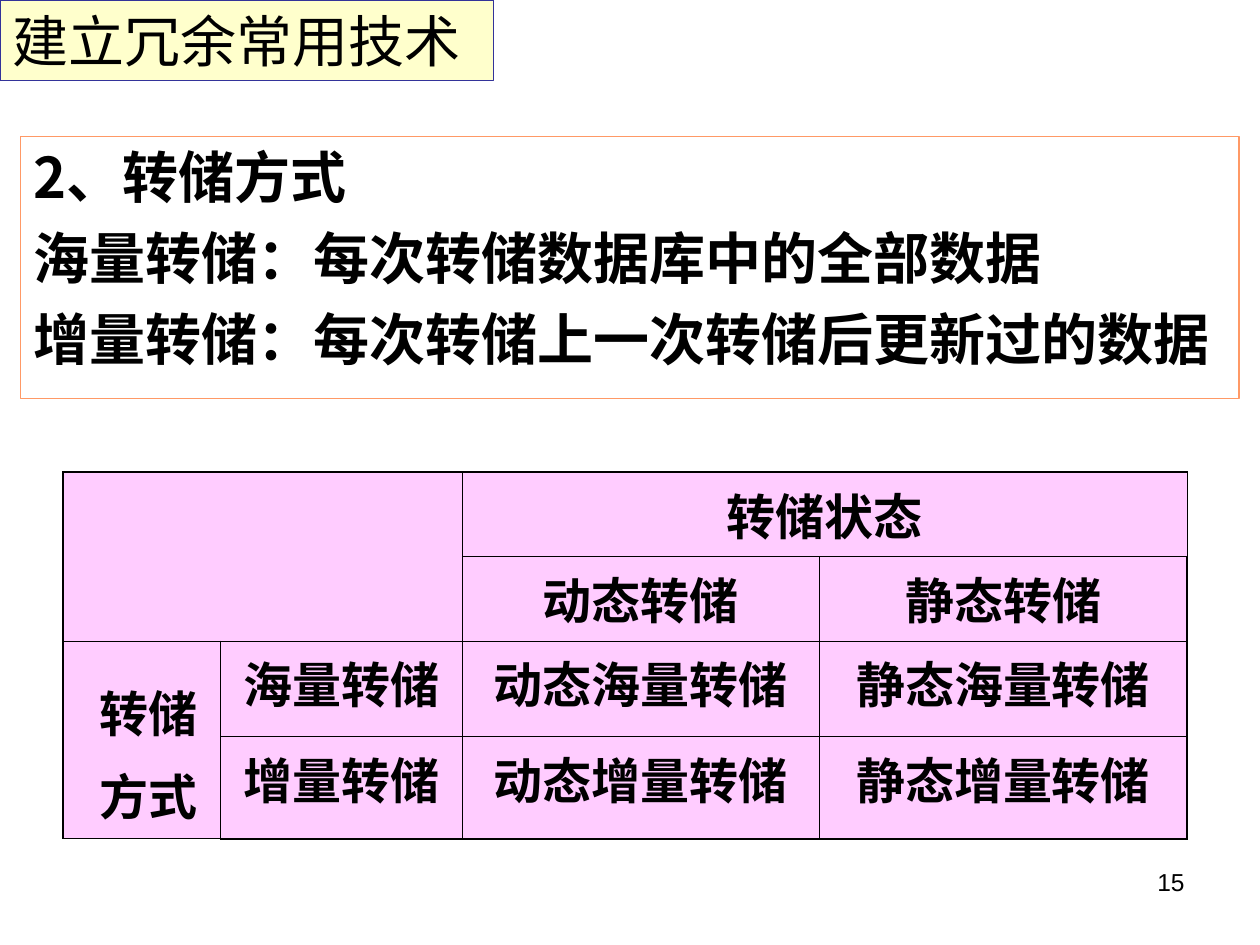
from lxml.etree import SubElement
from pptx import Presentation
from pptx.dml.color import RGBColor
from pptx.enum.shapes import MSO_SHAPE
from pptx.enum.text import MSO_ANCHOR, PP_ALIGN
from pptx.oxml.ns import qn
from pptx.util import Cm, Pt

COLORS = {
    "text": "000000",
    "white": "FFFFFF",
    "orange": "FF9966",
    "cream": "FFFFCC",
    "navy": "333399",
    "pink": "FFCCFF",
}
CJK_FONT = "Noto Sans CJK SC"
COLUMN_WIDTHS = (3.18, 4.87, 7.19, 7.42)
ROW_HEIGHTS = (1.7, 1.7, 1.93, 2.06)
MERGES = (((0, 0), (1, 1)), ((0, 2), (0, 3)), ((2, 0), (3, 0)))
CELL_TEXTS = (
    ("", "", "转储状态", ""),
    ("", "", "动态转储", "静态转储"),
    ("转储\n方式", "海量转储", "动态海量转储", "静态海量转储"),
    ("", "增量转储", "动态增量转储", "静态增量转储"),
)
OUTER_LINE, INNER_LINE = Pt(1.08), Pt(0.45)


def color(name):
    return RGBColor.from_string(COLORS[name])


def write_text(frame, text, size, font="Arial", bold=False,
               align=PP_ALIGN.LEFT, gap=0, hanging=0):
    """Write one paragraph per line of text, with gap points between them."""
    for index, line in enumerate(text.split("\n")):
        para = frame.add_paragraph() if index else frame.paragraphs[0]
        para.alignment = align
        if index:
            para.space_before = Pt(gap)
        if hanging:
            properties = para._p.get_or_add_pPr()
            properties.set("marL", str(Cm(hanging)))
            properties.set("indent", str(-Cm(hanging)))
        span = para.add_run()
        span.text = line
        span.font.size = Pt(size)
        span.font.name = font
        span.font.bold = bold
        span.font.color.rgb = color("text")
        SubElement(span._r.get_or_add_rPr(), qn("a:ea"), typeface=CJK_FONT)


def add_panel(slide, left, top, width, height, fill, line, anchor):
    """Add an outlined rectangle and return its text frame."""
    panel = slide.shapes.add_shape(
        MSO_SHAPE.RECTANGLE, Cm(left), Cm(top), Cm(width), Cm(height))
    panel.shadow.inherit = False
    panel.fill.solid()
    panel.fill.fore_color.rgb = color(fill)
    panel.line.color.rgb = color(line)
    panel.line.width = Pt(0.75)
    panel.text_frame.word_wrap = True
    panel.text_frame.vertical_anchor = anchor
    return panel.text_frame


def set_borders(cell, widths):
    """Draw the left, right, top and bottom borders, behind the fill in XML order."""
    properties = cell._tc.get_or_add_tcPr()
    for position, (side, width) in enumerate(zip("LRTB", widths)):
        border = SubElement(properties, qn(f"a:ln{side}"), w=str(width))
        fill = SubElement(border, qn("a:solidFill"))
        SubElement(fill, qn("a:srgbClr"), val=COLORS["text"])
        properties.insert(position, border)


def add_dump_table(slide):
    rows, columns = len(ROW_HEIGHTS), len(COLUMN_WIDTHS)
    table = slide.shapes.add_table(
        rows, columns, Cm(1.27), Cm(9.52),
        Cm(sum(COLUMN_WIDTHS)), Cm(sum(ROW_HEIGHTS))).table
    table.first_row = table.horz_banding = False
    for column, width in zip(table.columns, COLUMN_WIDTHS):
        column.width = Cm(width)
    for row, height in zip(table.rows, ROW_HEIGHTS):
        row.height = Cm(height)
    for first, last in MERGES:
        table.cell(*first).merge(table.cell(*last))

    for r, texts in enumerate(CELL_TEXTS):
        for c, text in enumerate(texts):
            cell = table.cell(r, c)
            cell.fill.solid()
            cell.fill.fore_color.rgb = color("pink")
            on_edge = (c == 0, c == columns - 1, r == 0, r == rows - 1)
            set_borders(cell, [OUTER_LINE if edge else INNER_LINE for edge in on_edge])
            if text:
                write_text(cell.text_frame, text, 28, bold=True,
                           align=PP_ALIGN.CENTER, gap=7)

    side_heading = table.cell(2, 0)
    side_heading.margin_left = Cm(0.52)
    side_heading.text_frame.paragraphs[0].line_spacing = 1.4


def add_page_number(slide, number):
    box = slide.shapes.add_textbox(Cm(18.21), Cm(17.35), Cm(5.92), Cm(1.32))
    box.text_frame.word_wrap = True
    write_text(box.text_frame, number, 14, align=PP_ALIGN.RIGHT)


def main():
    deck = Presentation()
    deck.slide_width, deck.slide_height = Cm(25.4), Cm(19.05)
    slide = deck.slides.add_slide(deck.slide_layouts[6])

    add_page_number(slide, "15")
    body = add_panel(slide, 0.42, 2.75, 24.56, 5.29, "white", "orange", MSO_ANCHOR.TOP)
    write_text(body, "2、转储方式\n"
                     "海量转储：每次转储数据库中的全部数据\n"
                     "增量转储：每次转储上一次转储后更新过的数据",
               32, font=CJK_FONT, bold=True, gap=8, hanging=0.95)
    add_dump_table(slide)
    title = add_panel(slide, 0, 0, 9.95, 1.62, "cream", "navy", MSO_ANCHOR.MIDDLE)
    write_text(title, "建立冗余常用技术", 32, font="Times New Roman")

    deck.save("out.pptx")


if __name__ == "__main__":
    main()
